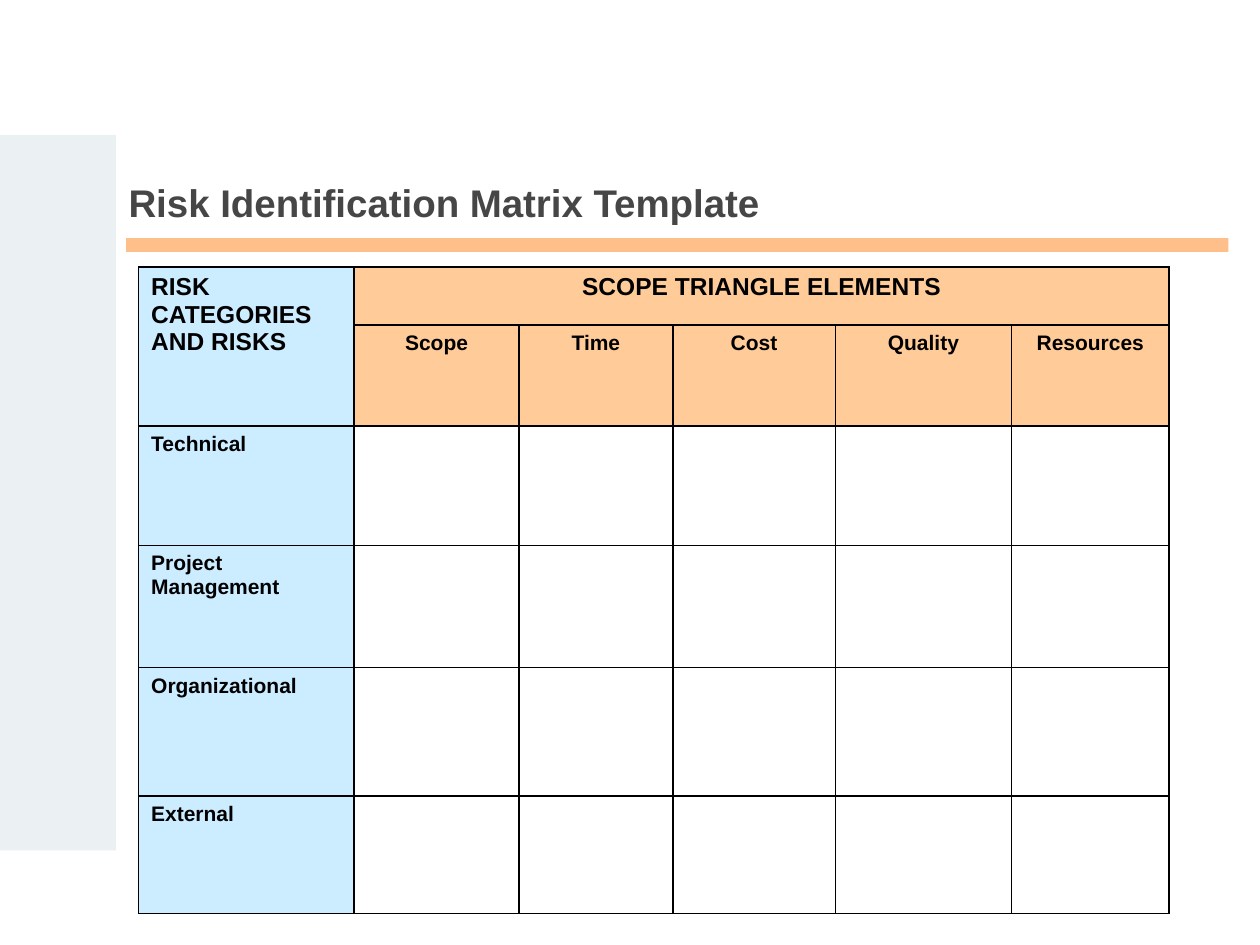
from lxml import etree
from pptx import Presentation
from pptx.dml.color import RGBColor
from pptx.enum.shapes import MSO_SHAPE
from pptx.enum.text import MSO_ANCHOR, PP_ALIGN
from pptx.oxml.ns import qn
from pptx.util import Inches, Pt

RECTANGLE = MSO_SHAPE.RECTANGLE
BOTTOM = MSO_ANCHOR.BOTTOM
LEFT, CENTER = PP_ALIGN.LEFT, PP_ALIGN.CENTER
TITLE_ONLY = 5

BLUE, ORANGE, BLACK = "CCECFF", "FFCC99", "000000"
ELEMENTS = ["Scope", "Time", "Cost", "Quality", "Resources"]
CATEGORIES = ["Technical", "Project Management", "Organizational", "External"]
COLUMN_WIDTHS = [1.71, 1.31, 1.22, 1.29, 1.4, 1.25]
ROW_HEIGHTS = [0.46, 0.8, 0.95, 0.97, 1.02, 0.93]


def color(value):
    return RGBColor.from_string(value)


def write(frame, text, size, font_color=BLACK, align=LEFT):
    """Put one bold Arial paragraph into a text frame."""
    para = frame.paragraphs[0]
    para.alignment = align
    span = para.add_run()
    span.text = text
    formats = {"name": "Arial", "size": Pt(size), "bold": True}
    for name, value in formats.items():
        setattr(span.font, name, value)
    span.font.color.rgb = color(font_color)


def add_bar(page, place, fill, opacity=100):
    bar = page.shapes.add_shape(RECTANGLE, *map(Inches, place))
    bar.shadow.inherit = False
    bar.fill.solid()
    bar.fill.fore_color.rgb = color(fill)
    bar.line.fill.background()
    if opacity < 100:
        tone = bar.fill._xPr.find(".//" + qn("a:srgbClr"))
        etree.SubElement(tone, qn("a:alpha"), val=str(opacity * 1000))


def add_title(page, text):
    title = page.shapes.title
    places = {"left": 0.92, "top": 1.33, "width": 9.25, "height": 0.51}
    for name, value in places.items():
        setattr(title, name, Inches(value))
    title.text_frame.word_wrap = True
    title.text_frame.vertical_anchor = BOTTOM
    write(title.text_frame, text, 22, "464646")


def add_borders(cell, width=1):
    """Draw all four cell borders; they must come before the fill."""
    properties = cell._tc.get_or_add_tcPr()
    for index, side in enumerate(("a:lnL", "a:lnR", "a:lnT", "a:lnB")):
        line = etree.Element(qn(side), w=str(Pt(width)))
        fill = etree.SubElement(line, qn("a:solidFill"))
        etree.SubElement(fill, qn("a:srgbClr"), val=BLACK)
        properties.insert(index, line)


def format_cell(cell, row, column):
    if column == 0:
        fill = BLUE
    else:
        fill = ORANGE if row < 2 else None
    if fill:
        cell.fill.solid()
        cell.fill.fore_color.rgb = color(fill)
    else:
        cell.fill.background()
    add_borders(cell)


def add_matrix(page):
    frame = page.shapes.add_table(
        len(ROW_HEIGHTS), len(COLUMN_WIDTHS), Inches(1.1), Inches(2.12),
        Inches(sum(COLUMN_WIDTHS)), Inches(sum(ROW_HEIGHTS)))
    table = frame.table
    table.first_row = table.horz_banding = False
    for column, width in zip(table.columns, COLUMN_WIDTHS):
        column.width = Inches(width)
    for row, height in zip(table.rows, ROW_HEIGHTS):
        row.height = Inches(height)
    for row in range(len(ROW_HEIGHTS)):
        for column in range(len(COLUMN_WIDTHS)):
            format_cell(table.cell(row, column), row, column)

    # Merged headings
    corner, heading = table.cell(0, 0), table.cell(0, 1)
    corner.merge(table.cell(1, 0))
    heading.merge(table.cell(0, len(ELEMENTS)))
    write(corner.text_frame, "RISK CATEGORIES AND RISKS", 14)
    write(heading.text_frame, "SCOPE TRIANGLE ELEMENTS", 14, align=CENTER)

    # Column and row labels
    for column, label in enumerate(ELEMENTS, 1):
        write(table.cell(1, column).text_frame, label, 12, align=CENTER)
    for row, label in enumerate(CATEGORIES, 2):
        write(table.cell(row, 0).text_frame, label, 12)


def main():
    deck = Presentation()
    deck.slide_width, deck.slide_height = Inches(10), Inches(7.5)
    page = deck.slides.add_slide(deck.slide_layouts[TITLE_ONLY])
    # Side panel and rule under the title
    add_bar(page, (0, 1.07, 0.92, 5.68), "EBF0F3")
    add_bar(page, (1, 1.89, 8.75, 0.11), "FF8119", opacity=50)
    add_title(page, "Risk Identification Matrix Template")
    add_matrix(page)
    deck.save("out.pptx")


if __name__ == "__main__":
    main()
